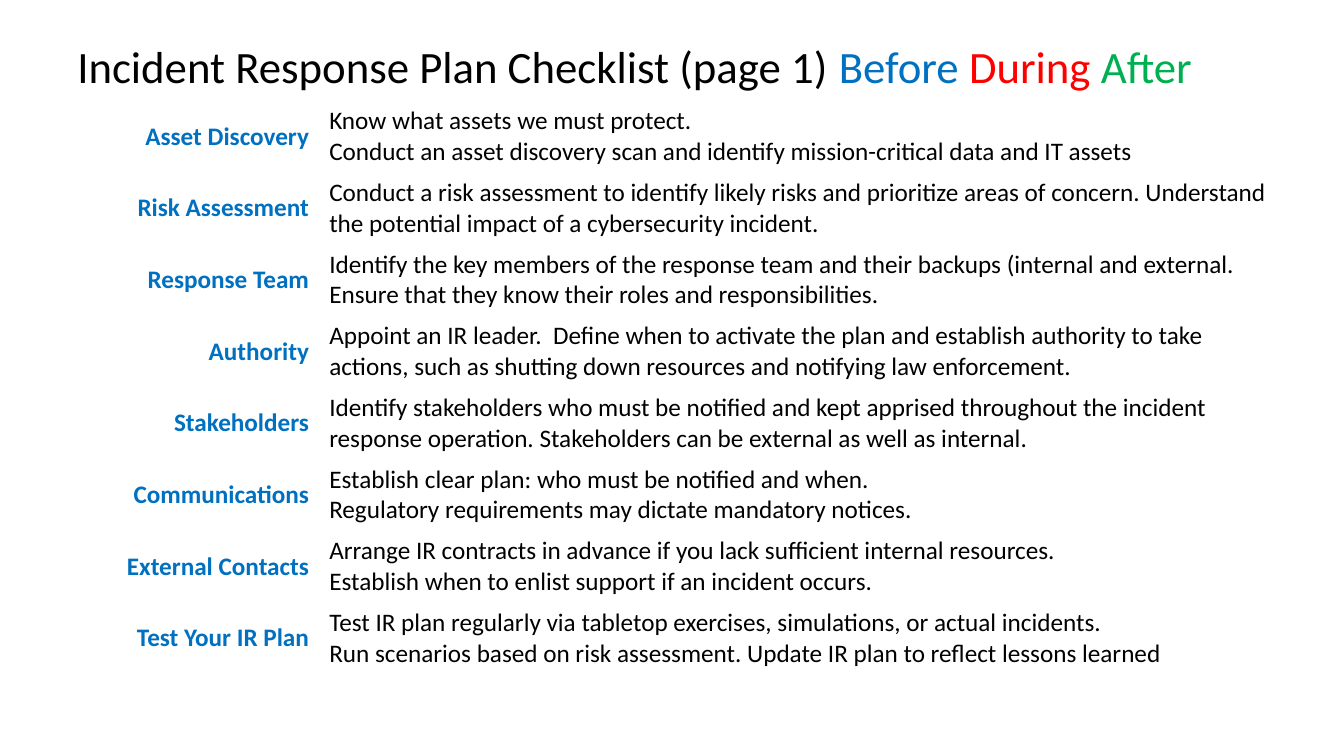
from dataclasses import dataclass

from pptx import Presentation
from pptx.dml.color import RGBColor
from pptx.enum.text import MSO_ANCHOR, MSO_AUTO_SIZE, PP_ALIGN
from pptx.util import Emu, Pt

LEFT, RIGHT = PP_ALIGN.LEFT, PP_ALIGN.RIGHT
TOP, MIDDLE = MSO_ANCHOR.TOP, MSO_ANCHOR.MIDDLE
NO_AUTOFIT = MSO_AUTO_SIZE.NONE
TITLE_ONLY = 5
EMU_PER_PX = 9525


@dataclass(frozen=True)
class Theme:
    font: str = "Calibri"
    title_pt: int = 32
    body_pt: int = 18
    text: str = "000000"
    before: str = "0070C0"
    during: str = "FF0000"
    after: str = "00B050"
    background: str = "FFFFFF"


@dataclass(frozen=True)
class Phrase:
    text: str
    color: str


@dataclass(frozen=True)
class Step:
    topic: str
    guidance: tuple[str, ...]


THEME = Theme()
SLIDE_SIZE = (1280, 720)
TITLE_BOX = (64, 29, 1152, 67)
CHECKLIST_LEFT, CHECKLIST_TOP = 64, 96
TOPIC_WIDTH, GUIDANCE_WIDTH = 240, 912
STEP_HEIGHT = 67

HEADING = (
    Phrase("Incident Response Plan Checklist (page 1) ", THEME.text),
    Phrase("Before ", THEME.before),
    Phrase("During ", THEME.during),
    Phrase("After", THEME.after),
)

STEPS = (
    Step("Asset Discovery", (
        "Know what assets we must protect.",
        "Conduct an asset discovery scan and identify mission-critical data and IT assets",
    )),
    Step("Risk Assessment", (
        "Conduct a risk assessment to identify likely risks and prioritize areas of concern. "
        "Understand the potential impact of a cybersecurity incident.",
    )),
    Step("Response Team", (
        "Identify the key members of the response team and their backups (internal and external.",
        "Ensure that they know their roles and responsibilities.",
    )),
    Step("Authority", (
        "Appoint an IR leader.  Define when to activate the plan and establish authority to take "
        "actions, such as shutting down resources and notifying law enforcement.",
    )),
    Step("Stakeholders", (
        "Identify stakeholders who must be notified and kept apprised throughout the incident "
        "response operation. Stakeholders can be external as well as internal.",
    )),
    Step("Communications", (
        "Establish clear plan: who must be notified and when.",
        "Regulatory requirements may dictate mandatory notices.",
    )),
    Step("External Contacts", (
        "Arrange IR contracts in advance if you lack sufficient internal resources.",
        "Establish when to enlist support if an incident occurs.",
    )),
    Step("Test Your IR Plan", (
        "Test IR plan regularly via tabletop exercises, simulations, or actual incidents.",
        "Run scenarios based on risk assessment. Update IR plan to reflect lessons learned",
    )),
)


def px(length: int) -> Emu:
    return Emu(length * EMU_PER_PX)


def set_font(font, size: int, color: str, bold: bool = False) -> None:
    font.name = THEME.font
    font.size = Pt(size)
    font.bold = bold
    font.color.rgb = RGBColor.from_string(color)


def write_heading(title) -> None:
    title.left, title.top, title.width, title.height = map(px, TITLE_BOX)
    frame = title.text_frame
    frame.auto_size = NO_AUTOFIT
    frame.vertical_anchor = MIDDLE
    line = frame.paragraphs[0]
    line.alignment = LEFT
    for phrase in HEADING:
        run = line.add_run()
        run.text = phrase.text
        set_font(run.font, THEME.title_pt, phrase.color)


def fill_cell(cell, lines: tuple[str, ...], color: str, bold: bool, alignment, anchor) -> None:
    cell.fill.solid()
    cell.fill.fore_color.rgb = RGBColor.from_string(THEME.background)
    cell.vertical_anchor = anchor
    cell.text_frame.text = "\n".join(lines)
    for paragraph in cell.text_frame.paragraphs:
        paragraph.alignment = alignment
        set_font(paragraph.font, THEME.body_pt, color, bold)


def add_checklist(slide) -> None:
    checklist = slide.shapes.add_table(
        len(STEPS), 2, px(CHECKLIST_LEFT), px(CHECKLIST_TOP),
        px(TOPIC_WIDTH + GUIDANCE_WIDTH), px(STEP_HEIGHT * len(STEPS)),
    ).table
    checklist.first_row = False
    checklist.horz_banding = False
    checklist.columns[0].width = px(TOPIC_WIDTH)
    checklist.columns[1].width = px(GUIDANCE_WIDTH)
    for index, step in enumerate(STEPS):
        fill_cell(checklist.cell(index, 0), (step.topic,), THEME.before, True, RIGHT, MIDDLE)
        fill_cell(checklist.cell(index, 1), step.guidance, THEME.text, False, LEFT, TOP)


def main() -> None:
    deck = Presentation()
    deck.slide_width, deck.slide_height = map(px, SLIDE_SIZE)
    slide = deck.slides.add_slide(deck.slide_layouts[TITLE_ONLY])
    write_heading(slide.shapes.title)
    add_checklist(slide)
    deck.save("out.pptx")


if __name__ == "__main__":
    main()
